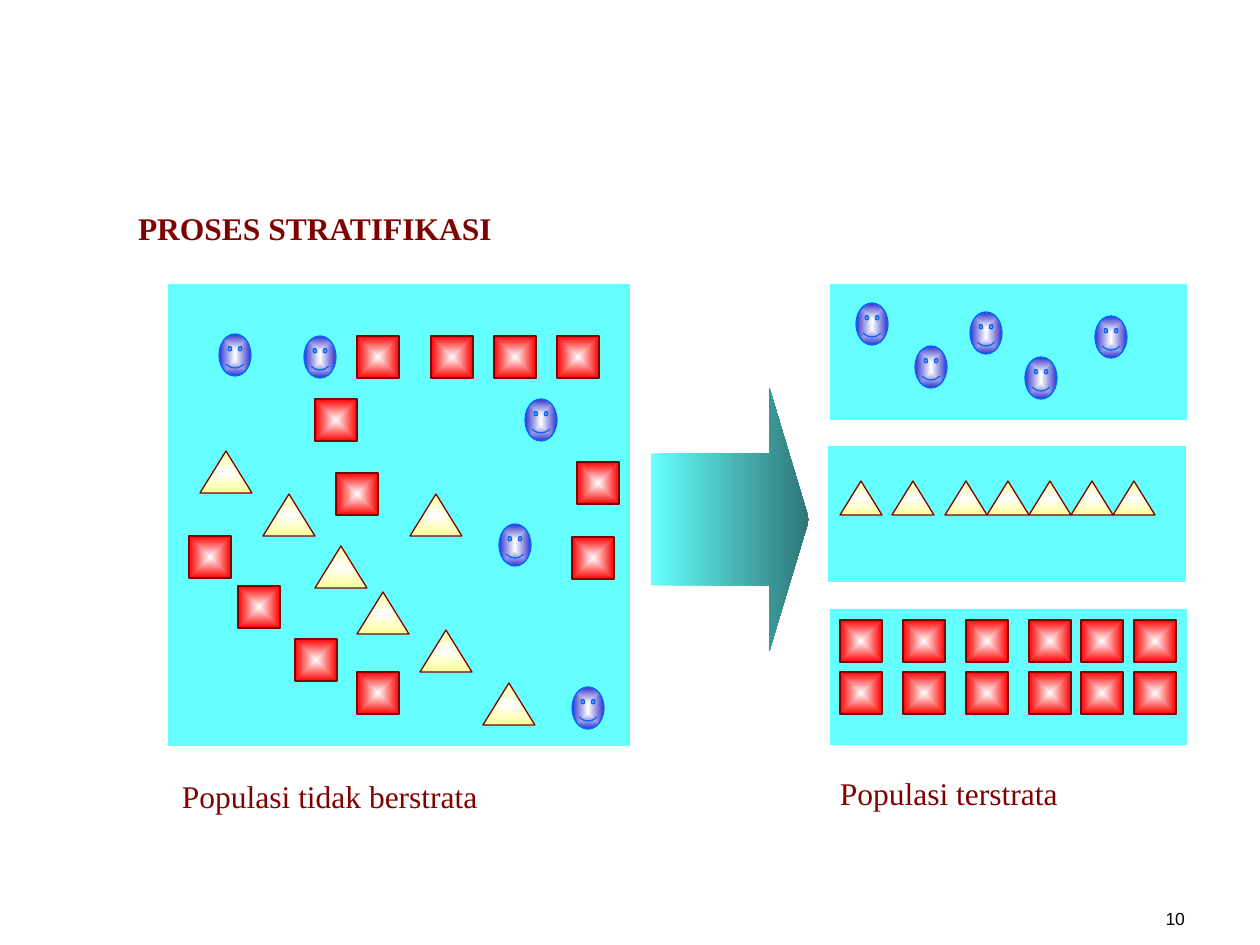
import pptx
import pptx.dml.color
import pptx.enum.shapes
import pptx.enum.text
import pptx.oxml.ns
import pptx.util
from lxml import etree

RGBColor = pptx.dml.color.RGBColor
Shape = pptx.enum.shapes.MSO_SHAPE
Align = pptx.enum.text.PP_ALIGN
Anchor = pptx.enum.text.MSO_ANCHOR
qn = pptx.oxml.ns.qn

PX = 914400 // 126
WHITE = RGBColor(0xFF, 0xFF, 0xFF)
BLACK = RGBColor(0x00, 0x00, 0x00)
CYAN = RGBColor(0x66, 0xFF, 0xFF)
TEAL = RGBColor(0x2F, 0x76, 0x76)
MAROON = RGBColor(0x80, 0x00, 0x00)
RED = RGBColor(0xFF, 0x00, 0x00)
YELLOW = RGBColor(0xFF, 0xFF, 0x99)
INDIGO = RGBColor(0x33, 0x33, 0xCC)
BLUE = RGBColor(0x00, 0x66, 0xFF)

# Each kind of population member: preset, edge colour of the fill, line, size
FACE = (Shape.SMILEY_FACE, INDIGO, BLUE, (32, 42))
SQUARE = (Shape.RECTANGLE, RED, MAROON, (42, 42))
TRIANGLE = (Shape.ISOSCELES_TRIANGLE, YELLOW, MAROON, (52, 42))
SMALL_TRIANGLE = (Shape.ISOSCELES_TRIANGLE, YELLOW, MAROON, (42, 34))

SERIF = {"name": "Times New Roman", "size": pptx.util.Pt(18), "bold": False}


def scale(box):
    return [length * PX for length in box]


def add_plain_shape(slide, preset, box):
    shape = slide.shapes.add_shape(preset, *scale(box))
    shape.shadow.inherit = False
    shape.line.fill.background()
    return shape


def fill_gradient(shape, start, end, from_centre=False):
    shape.fill.gradient()
    shape.fill.gradient_angle = 0
    for stop, colour in zip(shape.fill.gradient_stops, (start, end)):
        stop.color.rgb = colour
    if from_centre:
        gradient = shape._element.spPr.find(qn("a:gradFill"))
        gradient.remove(gradient.find(qn("a:lin")))
        radial = etree.SubElement(gradient, qn("a:path"), {"path": "shape"})
        sides = dict.fromkeys("ltrb", "50000")
        etree.SubElement(radial, qn("a:fillToRect"), sides)


def add_panel(slide, box, members):
    """Draw a cyan panel; members maps a kind to offsets from its corner."""
    panel = add_plain_shape(slide, Shape.RECTANGLE, box)
    panel.fill.solid()
    panel.fill.fore_color.rgb = CYAN
    for (preset, edge, line, size), offsets in members.items():
        for x, y in offsets:
            member = add_plain_shape(
                slide, preset, (box[0] + x, box[1] + y, *size))
            fill_gradient(member, WHITE, edge, from_centre=True)
            member.line.color.rgb = line
            member.line.width = pptx.util.Pt(0.75)


def write_text(shape, box, text, font, colour,
               align=Align.LEFT, anchor=Anchor.TOP, inset_top=10):
    shape.left, shape.top, shape.width, shape.height = scale(box)
    frame = shape.text_frame
    frame.text = text
    settings = {
        "word_wrap": True,
        "auto_size": pptx.enum.text.MSO_AUTO_SIZE.NONE,
        "vertical_anchor": anchor,
        "margin_left": 12 * PX,
        "margin_right": 12 * PX,
        "margin_top": inset_top * PX,
        "margin_bottom": 6 * PX,
    }
    for name, value in settings.items():
        setattr(frame, name, value)
    paragraph = frame.paragraphs[0]
    paragraph.alignment = align
    run_font = paragraph.runs[0].font
    for name, value in font.items():
        setattr(run_font, name, value)
    run_font.color.rgb = colour


def add_text(slide, box, *args, **kwargs):
    write_text(slide.shapes.add_textbox(*scale(box)), box, *args, **kwargs)


def add_unstratified_population(slide, left, top):
    add_panel(slide, (left, top, 462, 462), {
        FACE: [(136, 52), (404, 403), (331, 240), (357, 115), (51, 50)],
        SQUARE: [(21, 252), (70, 302), (127, 355), (189, 388),
                 (189, 52), (263, 52), (326, 52), (389, 52),
                 (147, 115), (168, 189), (409, 178), (404, 253)],
        TRIANGLE: [(242, 210), (32, 167), (95, 210), (189, 308),
                   (252, 346), (147, 262), (315, 399)],
    })
    add_text(slide, (left + 2, top + 483, 418, 63),
             "Populasi tidak berstrata", SERIF, MAROON)


def add_stratified_population(slide, left, top):
    triangle_columns = [12, 64, *range(117, 286, 42)]
    square_columns = (10, 73, 136, 199, 251, 304)
    add_panel(slide, (left, top, 357, 136), {
        FACE: [(85, 62), (26, 19), (140, 28), (195, 73), (265, 32)]})
    add_panel(slide, (left - 2, top + 162, 358, 136), {
        SMALL_TRIANGLE: [(x, 35) for x in triangle_columns]})
    add_panel(slide, (left, top + 325, 357, 136), {
        SQUARE: [(x, y) for x in square_columns for y in (11, 63)]})
    add_text(slide, (left - 2, top + 480, 315, 63),
             "Populasi terstrata", SERIF, MAROON)


def add_process_arrow(slide, box):
    arrow = add_plain_shape(slide, Shape.RIGHT_ARROW, box)
    arrow.adjustments[0] = 0.5
    arrow.adjustments[1] = 0.25
    fill_gradient(arrow, CYAN, TEAL)


def main():
    presentation = pptx.Presentation()
    presentation.slide_width = 1260 * PX
    presentation.slide_height = 945 * PX
    slide = presentation.slides.add_slide(presentation.slide_layouts[5])
    write_text(slide.shapes.title, (126, 199, 500, 63),
               "PROSES STRATIFIKASI", {**SERIF, "bold": True}, MAROON)
    add_unstratified_population(slide, 168, 284)
    add_process_arrow(slide, (651, 388, 158, 263))
    add_stratified_population(slide, 830, 284)
    add_text(slide, (935, 872, 262, 63), "10",
             {"name": "Arial", "size": pptx.util.Pt(10)}, BLACK,
             align=Align.RIGHT, anchor=Anchor.BOTTOM, inset_top=6)
    presentation.save("out.pptx")


if __name__ == "__main__":
    main()
